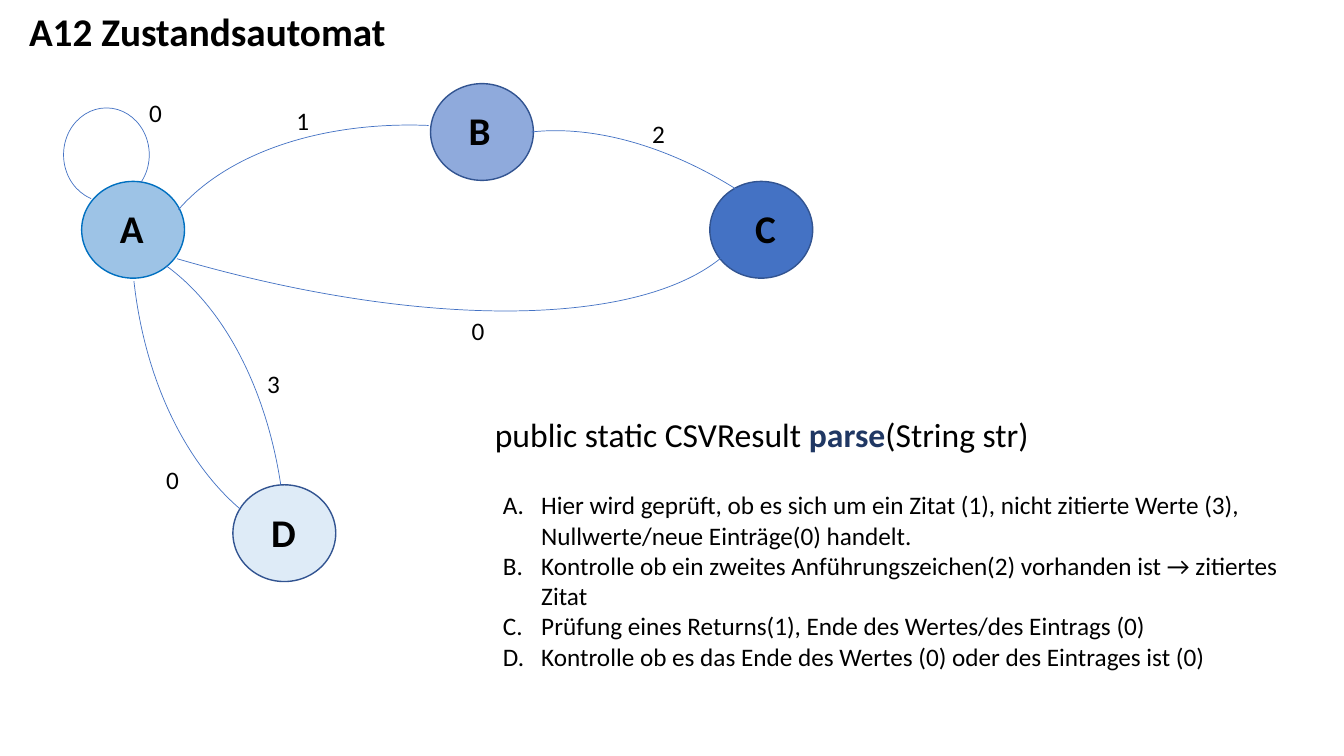
from pptx import Presentation
from pptx.util import Inches, Pt
from pptx.dml.color import RGBColor
from pptx.enum.shapes import MSO_SHAPE as SHAPE
from pptx.enum.text import PP_ALIGN as ALIGN
from pptx.oxml.ns import qn
from lxml import etree

BLACK = RGBColor(0x00, 0x00, 0x00)
NAVY = RGBColor(0x20, 0x38, 0x64)
BLUE = RGBColor(0x44, 0x72, 0xC4)
EDGE = RGBColor(0x32, 0x54, 0x91)
CYAN = RGBColor(0x00, 0x70, 0xC0)
SKY = RGBColor(0x9D, 0xC3, 0xE6)
MID = RGBColor(0x8F, 0xAA, 0xDC)
PALE = RGBColor(0xDE, 0xEB, 0xF7)

# Content
TITLE = "A12 Zustandsautomat"
CODE = [("public static CSVResult ", BLACK, False), ("parse", NAVY, True),
        ("(String str)", BLACK, False)]
NOTES = [
    "Hier wird geprüft, ob es sich um ein Zitat (1), nicht zitierte Werte (3), "
    "Nullwerte/neue Einträge(0) handelt.",
    "Kontrolle ob ein zweites Anführungszeichen(2) vorhanden ist → zitiertes Zitat",
    "Prüfung eines Returns(1), Ende des Wertes/des Eintrags (0)",
    "Kontrolle ob es das Ende des Wertes (0) oder des Eintrages ist (0)",
]

# State: name, left, top, fill, edge, letter indent
STATES = [
    ("A", 0.81, 1.8, SKY, CYAN, 0.28),
    ("B", 4.27, 0.83, MID, EDGE, 0.28),
    ("C", 7.04, 1.8, BLUE, EDGE, 0.35),
    ("D", 2.31, 4.81, PALE, EDGE, 0.28),
]
# Path: frame, rotation, start and end of the arc
PATHS = [
    ((1.3, -0.93, 4.33, 6.41), 180, 174.74, 207.88),      # D to A
    ((-1.27, 2.34, 4.11, 6.41), 0, 171.98, 203.81),       # A to D
    ((4.59, 0.75, 4.11, 6.41), 313.3, 173.57, 205.17),    # B to C
    ((2.53, 0.14, 4.11, 6.41), 280.7, 170.12, 204.18),    # A to B
    ((-0.39, -5.68, 4.56, 11.8), 108.6, 164.66, 206.81),  # C to A
    ((0.63, 1.07, 0.85, 0.93), 180, 173.55, 130.76),      # A to A
]
# Label on a path: text, left, top
LABELS = [("0", 1.38, 0.92), ("0", 1.55, 4.56), ("3", 2.55, 3.6),
          ("2", 6.37, 1.12), ("1", 2.84, 1), ("0", 4.58, 3.08)]

deck = Presentation()
deck.slide_width, deck.slide_height = Inches(13.33), Inches(7.5)
slide = deck.slides.add_slide(deck.slide_layouts[6])


def add_run(para, text, size, color=BLACK, bold=False):
    run = para.add_run()
    run.text = text
    font = run.font
    font.name, font.size, font.bold = "Calibri", Pt(size), bold
    font.color.rgb = color


def add_box(left, top, width, height):
    box = slide.shapes.add_textbox(*map(Inches, (left, top, width, height)))
    box.text_frame.word_wrap = True
    return box.text_frame


def add_form(kind, frame, edge, weight, fill=None):
    form = slide.shapes.add_shape(kind, *map(Inches, frame))
    form.shadow.inherit = False
    form.line.color.rgb, form.line.width = edge, Pt(weight)
    if fill is None:
        form.fill.background()
    else:
        form.fill.solid()
        form.fill.fore_color.rgb = fill
    return form


# Title
para = add_box(0, 0.08, 4.11, 0.75).paragraphs[0]
para.alignment, para.line_spacing = ALIGN.CENTER, 0.9
add_run(para, TITLE, 28, bold=True)

# State circles
for name, left, top, fill, edge, shift in STATES:
    add_form(SHAPE.FLOWCHART_CONNECTOR, (left, top, 1.02, 0.96), edge, 1, fill)

# Paths between states
for frame, turn, start, end in PATHS:
    arc = add_form(SHAPE.ARC, frame, BLUE, 0.5)
    arc.rotation = turn
    arc.adjustments[0], arc.adjustments[1] = start, end

# Path labels and state letters
for text, left, top in LABELS:
    add_run(add_box(left, top, 0.45, 0.4).paragraphs[0], text, 18)
for name, left, top, fill, edge, shift in STATES:
    para = add_box(left + shift, top + 0.18, 0.33, 0.57).paragraphs[0]
    add_run(para, name, 28, bold=True)

# Lettered notes
frame = add_box(4.89, 4.81, 8.17, 1.92)
for i, note in enumerate(NOTES):
    para = frame.add_paragraph() if i else frame.paragraphs[0]
    add_run(para, note, 18)
    props = para._p.get_or_add_pPr()
    props.set("marL", str(Inches(0.38)))
    props.set("indent", str(-Inches(0.38)))
    etree.SubElement(props, qn("a:buAutoNum"), type="alphaUcPeriod")

# Method signature
para = add_box(4.81, 4.06, 7.77, 0.5).paragraphs[0]
for text, color, bold in CODE:
    add_run(para, text, 24, color, bold)

deck.save("out.pptx")
